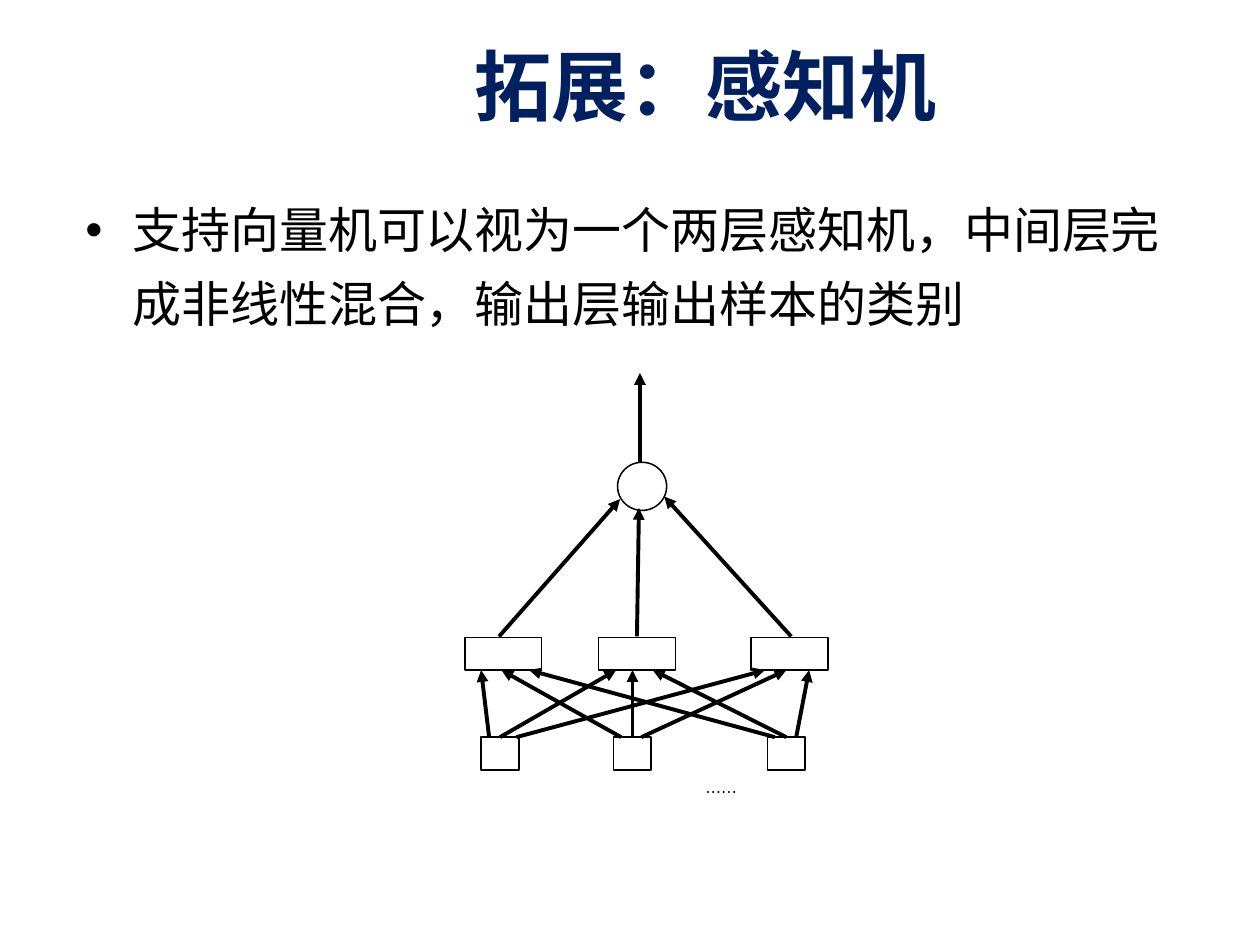
from pptx import Presentation
from pptx.dml.color import RGBColor
from pptx.enum.shapes import MSO_CONNECTOR, MSO_SHAPE
from pptx.enum.text import MSO_ANCHOR
from pptx.oxml.ns import qn
from pptx.util import Cm, Pt
from lxml.etree import SubElement

NAVY = RGBColor(0x00, 0x20, 0x60)
BLACK = RGBColor(0x00, 0x00, 0x00)
WHITE = RGBColor(0xFF, 0xFF, 0xFF)
CJK_FONT = "Noto Sans CJK SC"

# Rows of the network, in centimetres
HIDDEN_LEFTS, HIDDEN_TOP = (9.37, 12.07, 15.14), 12.85
INPUT_LEFTS, INPUT_TOP = (9.7, 12.37, 15.47), 14.86
BOX_HEIGHT = 0.66

# Start and tip x of each arrow from the input row to the hidden row
INPUT_ARROWS = (
    (9.86, 9.7), (10.08, 12.42), (10.41, 15.42),
    (12.52, 10.11), (12.75, 12.75), (12.93, 15.85),
    (15.62, 10.67), (15.85, 13.16), (16.05, 16.31),
)
# Start x, start y, tip x, tip y of the arrows around the output node
OUTPUT_ARROWS = (
    (10.06, 12.83, 12.5, 10.06),
    (12.84, 12.83, 12.88, 10.24),
    (15.95, 12.83, 13.39, 10.01),
    (12.9, 9.32, 12.9, 7.52),
)


def add_text(slide, text, left, top, width, height, size, color=BLACK,
             font=CJK_FONT, bold=False):
    box = slide.shapes.add_textbox(Cm(left), Cm(top), Cm(width), Cm(height))
    frame = box.text_frame
    frame.word_wrap = True
    paragraph = frame.paragraphs[0]
    run = paragraph.add_run()
    run.text = text
    run.font.size = Pt(size)
    run.font.bold = bold
    run.font.name = font
    run.font.color.rgb = color
    SubElement(run.font._element, qn("a:ea"), typeface=CJK_FONT)
    return frame


def add_bullet(paragraph, indent):
    properties = paragraph._p.get_or_add_pPr()
    properties.set("marL", str(Cm(indent)))
    properties.set("indent", str(-Cm(indent)))
    SubElement(properties, qn("a:buFont"), typeface="Arial")
    SubElement(properties, qn("a:buChar"), char="•")


def add_node(slide, kind, left, top, width, height):
    shape = slide.shapes.add_shape(kind, Cm(left), Cm(top), Cm(width), Cm(height))
    shape.shadow.inherit = False
    shape.fill.solid()
    shape.fill.fore_color.rgb = WHITE
    shape.line.color.rgb = BLACK
    shape.line.width = Pt(0.88)


def add_arrow(slide, start_x, start_y, tip_x, tip_y):
    arrow = slide.shapes.add_connector(
        MSO_CONNECTOR.STRAIGHT, Cm(start_x), Cm(start_y), Cm(tip_x), Cm(tip_y))
    arrow.line.color.rgb = BLACK
    arrow.line.width = Pt(2.25)
    SubElement(arrow.line._get_or_add_ln(), qn("a:tailEnd"),
               type="triangle", w="med", len="med")
    SubElement(arrow._element.spPr, qn("a:effectLst"))


def add_network(slide):
    # Hidden and input rows
    for left in HIDDEN_LEFTS:
        add_node(slide, MSO_SHAPE.RECTANGLE, left, HIDDEN_TOP, 1.55, BOX_HEIGHT)
    for left in INPUT_LEFTS:
        add_node(slide, MSO_SHAPE.RECTANGLE, left, INPUT_TOP, 0.76, BOX_HEIGHT)
    for start_x, tip_x in INPUT_ARROWS:
        add_arrow(slide, start_x, INPUT_TOP, tip_x, HIDDEN_TOP + BOX_HEIGHT)

    # Output node
    add_node(slide, MSO_SHAPE.OVAL, 12.45, 9.32, 0.99, 0.97)
    for ends in OUTPUT_ARROWS:
        add_arrow(slide, *ends)

    # Ellipsis under the inputs
    dots = add_text(slide, "……", 14.22, 15.77, 0.64, 0.38, 9)
    dots.word_wrap = False
    dots.margin_left = dots.margin_right = dots.margin_top = dots.margin_bottom = 0


def main():
    presentation = Presentation()
    presentation.slide_width, presentation.slide_height = Cm(25.4), Cm(19.05)
    slide = presentation.slides.add_slide(presentation.slide_layouts[6])

    # Title
    title = add_text(slide, "拓展：感知机", 9.32, 0.43, 14.4, 2.54, 44, NAVY,
                     "Calibri", True)
    title.vertical_anchor = MSO_ANCHOR.MIDDLE

    # Body
    body = add_text(
        slide, "支持向量机可以视为一个两层感知机，中间层完成非线性混合，输出层输出样本的类别",
        1.47, 3.61, 22.66, 14.81, 28)
    add_bullet(body.paragraphs[0], 0.95)
    body.paragraphs[0].line_spacing = Pt(42)

    add_network(slide)
    presentation.save("out.pptx")


if __name__ == "__main__":
    main()
